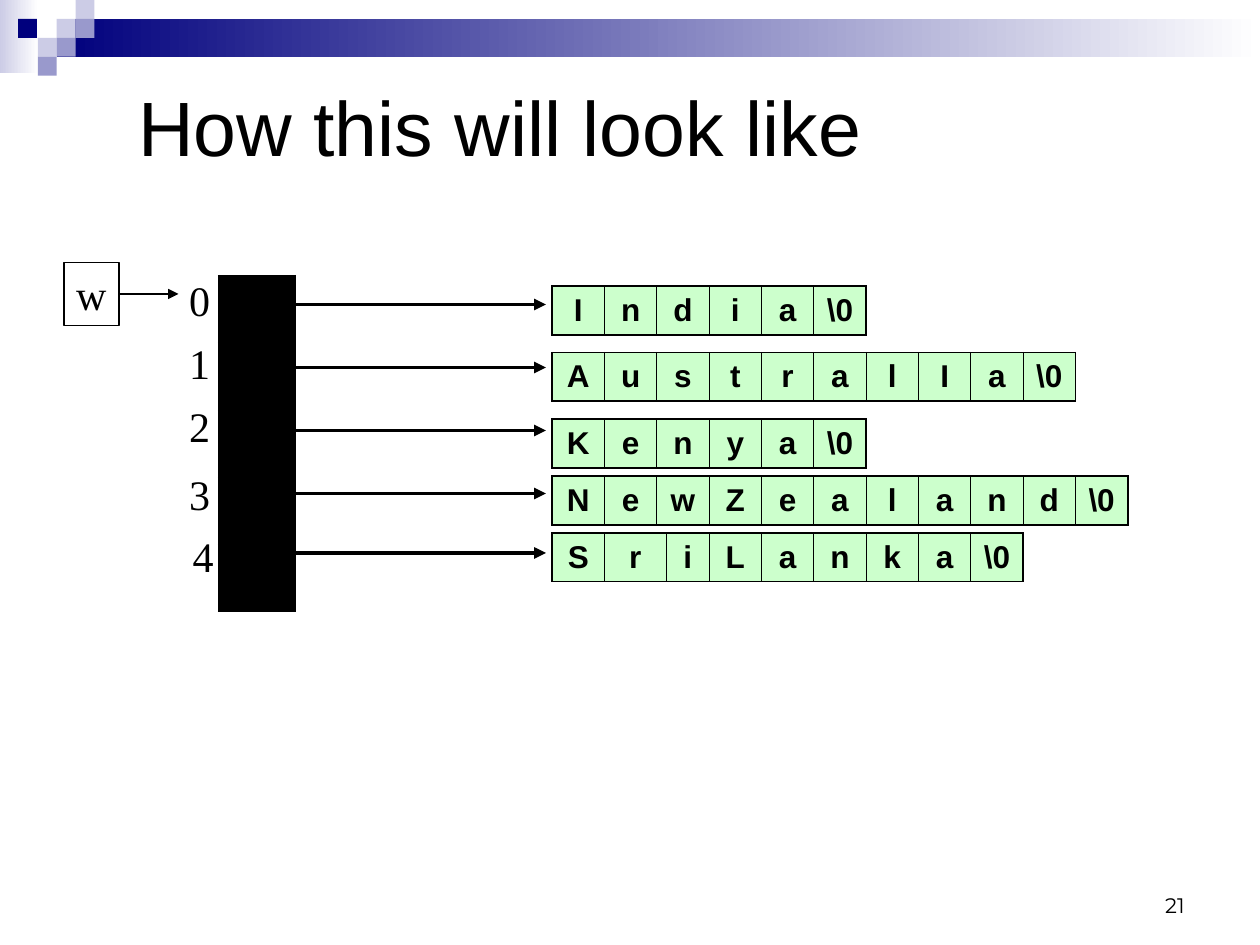
from typing import NamedTuple

from pptx import Presentation
from pptx.dml.color import RGBColor
from pptx.enum.shapes import MSO_CONNECTOR, MSO_SHAPE
from pptx.enum.text import MSO_ANCHOR, MSO_AUTO_SIZE, PP_ALIGN
from pptx.oxml.ns import qn
from pptx.util import Pt
from lxml import etree

RECT = MSO_SHAPE.RECTANGLE
LINE = MSO_CONNECTOR.STRAIGHT
LEFT, MID, RIGHT = PP_ALIGN.LEFT, PP_ALIGN.CENTER, PP_ALIGN.RIGHT
TOP, CENTER, BASE = MSO_ANCHOR.TOP, MSO_ANCHOR.MIDDLE, MSO_ANCHOR.BOTTOM
FIT = MSO_AUTO_SIZE.SHAPE_TO_FIT_TEXT

HUES = {
    "ink": "000000",
    "white": "FFFFFF",
    "navy": "00007D",
    "pale": "CCCCE6",
    "lilac": "9999CC",
    "mint": "CCFFCC",
}
SERIF = "Times New Roman"
CELL = 29.92   # width of one letter cell
TILE = 10.8    # side of one header tile
THICK, THIN = 1.08, 0.45


class Tile(NamedTuple):
    left: float
    top: float
    hue: str


class Entry(NamedTuple):
    word: str
    top: float
    num_x: float
    num_y: float
    arrow_y: float


TILES = [
    Tile(32.4, 10.8, "pale"),
    Tile(43.2, 0, "pale"),
    Tile(43.2, 10.8, "lilac"),
    Tile(21.6, 21.6, "pale"),
    Tile(10.3, 10.8, "navy"),
    Tile(32.4, 21.6, "lilac"),
    Tile(21.6, 32.4, "lilac"),
]
ENTRIES = [
    Entry("India", 163.5, 101, 153.5, 174),
    Entry("AustralIa", 201.5, 101, 189.5, 210),
    Entry("Kenya", 239.5, 101, 225.5, 246),
    Entry("NewZealand", 272, 101, 264, 282),
    Entry("SriLanka", 304.5, 103, 299.5, 316),
]
WIDE = {"SriLanka": {1: 35.3, 2: 24.5}}   # uneven columns


def color(name: str) -> RGBColor:
    return RGBColor.from_string(HUES[name])


def write(frame, text: str, *, size: float, font: str = "Arial",
          bold: bool = False, align=LEFT) -> None:
    para = frame.paragraphs[0]
    para.alignment = align
    run = para.add_run()
    run.text = text
    run.font.size = Pt(size)
    run.font.name = font
    run.font.bold = bold
    run.font.color.rgb = color("ink")


def add_text(slide, box: tuple, text: str, *, anchor=TOP,
             wrap: bool = True, **style) -> None:
    frame = slide.shapes.add_textbox(*map(Pt, box)).text_frame
    frame.word_wrap = wrap
    frame.auto_size = MSO_AUTO_SIZE.NONE if wrap else FIT
    frame.vertical_anchor = anchor
    write(frame, text, **style)


def add_rect(slide, box: tuple, hue: str = "", fade: bool = False):
    rect = slide.shapes.add_shape(RECT, *map(Pt, box))
    rect.shadow.inherit = False
    rect.line.fill.background()
    if fade:
        rect.fill.gradient()
        rect.fill.gradient_angle = 0
        for stop, name, spot in zip(rect.fill.gradient_stops,
                                    (hue, "white"), (0, 1)):
            stop.color.rgb = color(name)
            stop.position = spot
    elif hue:
        rect.fill.solid()
        rect.fill.fore_color.rgb = color(hue)
    else:
        rect.fill.background()
    return rect


def add_arrow(slide, left: float, right: float, y: float, width: float):
    arrow = slide.shapes.add_connector(LINE, Pt(left), Pt(y), Pt(right), Pt(y))
    arrow.line.width = Pt(width)
    arrow.line.color.rgb = color("ink")
    etree.SubElement(arrow.line._get_or_add_ln(), qn("a:tailEnd"),
                     type="triangle")
    etree.SubElement(arrow._element.spPr, qn("a:effectLst"))
    return arrow


def add_edges(cell, sides: dict) -> None:
    props = cell._tc.get_or_add_tcPr()
    for side, width in sides.items():
        edge = etree.SubElement(props, qn(f"a:ln{side}"), w=str(Pt(width)))
        fill = etree.SubElement(edge, qn("a:solidFill"))
        etree.SubElement(fill, qn("a:srgbClr"), val=HUES["ink"])


def add_grid(slide, left: float, top: float, cols: list, rows: list,
             hue: str, texts: list) -> None:
    """Table with thick outer and thin inner borders; texts fill one row."""
    frame = slide.shapes.add_table(len(rows), len(cols), Pt(left), Pt(top),
                                   Pt(sum(cols)), Pt(sum(rows)))
    table = frame.table
    table.first_row = table.horz_banding = False
    for col, width in zip(table.columns, cols):
        col.width = Pt(width)
    for row, height in zip(table.rows, rows):
        row.height = Pt(height)
    for i in range(len(rows)):
        for j in range(len(cols)):
            cell = table.cell(i, j)
            add_edges(cell, {
                "L": THIN if j else THICK,
                "R": THIN if j < len(cols) - 1 else THICK,
                "T": THIN if i else THICK,
                "B": THIN if i < len(rows) - 1 else THICK,
            })
            cell.fill.solid()
            cell.fill.fore_color.rgb = color(hue)
            cell.margin_left = cell.margin_right = Pt(3)
            cell.margin_top = cell.margin_bottom = Pt(3.1)
            cell.vertical_anchor = CENTER
            if texts:
                write(cell.text_frame, texts[j], size=18, bold=True, align=MID)


def main() -> None:
    deck = Presentation()
    deck.slide_width, deck.slide_height = Pt(720), Pt(540)
    slide = deck.slides.add_slide(deck.slide_layouts[6])

    # Header band and tiles
    add_rect(slide, (0, 0, 22, 41.8), "pale", fade=True)
    add_rect(slide, (32.4, 10.8, 687.6, 21.6), "navy", fade=True)
    for tile in TILES:
        add_rect(slide, (tile.left, tile.top, TILE, TILE), tile.hue)

    # Title and page number
    add_text(slide, (72, 18, 648, 108), "How this will look like",
             anchor=CENTER, size=44)
    add_text(slide, (516, 492, 168, 36), "21", anchor=BASE,
             size=12, font="Montserrat", align=RIGHT)

    # Pointer variable
    box = add_rect(slide, (36.5, 150, 31.7, 36))
    box.line.width = Pt(1)
    box.line.color.rgb = color("ink")
    box.text_frame.word_wrap = False
    box.text_frame.auto_size = FIT
    box.text_frame.vertical_anchor = TOP
    write(box.text_frame, "w", size=24, font=SERIF)
    add_arrow(slide, 68.2, 102, 168, 0.75).begin_connect(box, 3)

    # Pointer array
    add_grid(slide, 125, 157.5, [43.5], [38.4] * len(ENTRIES), "ink", [])

    # Index, arrow and letters of each string
    for num, entry in enumerate(ENTRIES):
        add_text(slide, (entry.num_x, entry.num_y, 26.5, 36), str(num),
                 wrap=False, size=24, font=SERIF)
        add_arrow(slide, 168, 312, entry.arrow_y, 2.25)
        marks = [*entry.word, "\\0"]
        wide = WIDE.get(entry.word, {})
        cols = [wide.get(i, CELL) for i in range(len(marks))]
        add_grid(slide, 315.5, entry.top, cols, [24], "mint", marks)

    deck.save("out.pptx")


if __name__ == "__main__":
    main()
